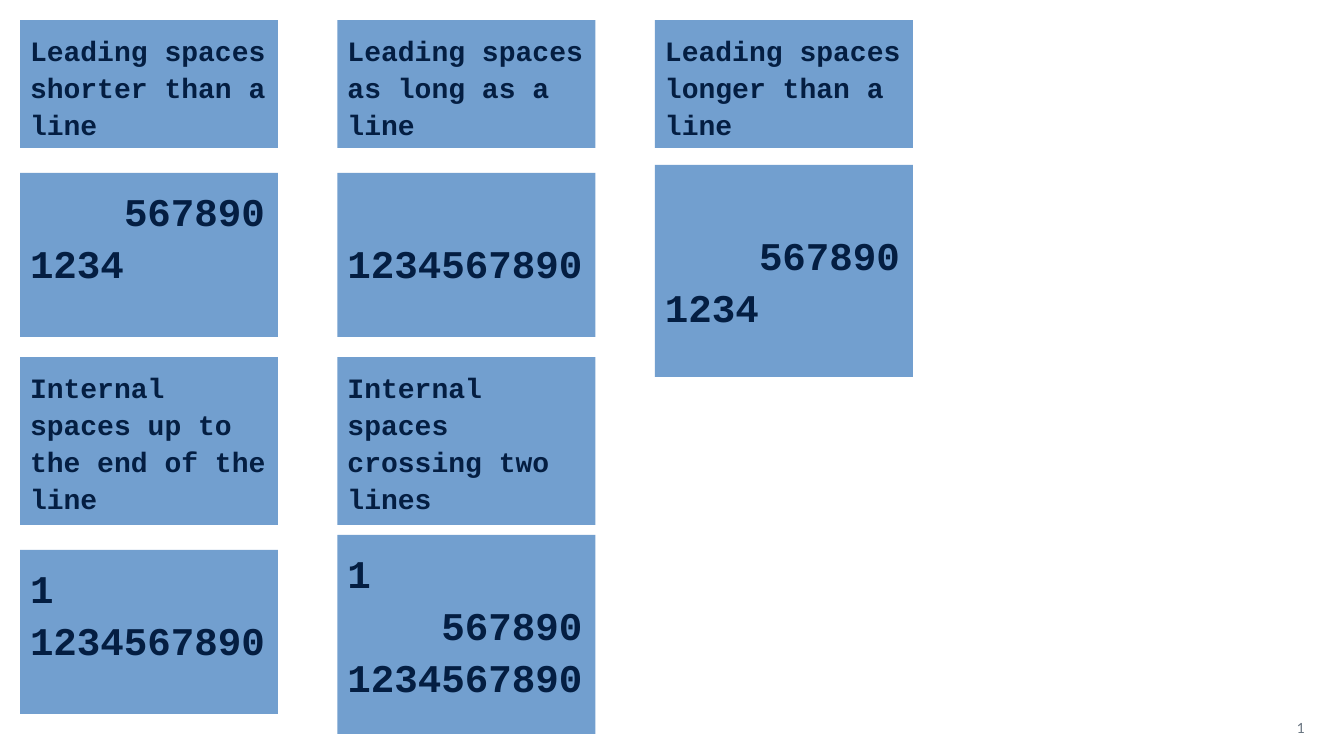
from pptx import Presentation
from pptx.dml.color import RGBColor
from pptx.enum.shapes import MSO_SHAPE
from pptx.enum.text import MSO_ANCHOR, MSO_AUTO_SIZE, PP_ALIGN
from pptx.util import Pt

COLOURS = {"panel": "729FCF", "ink": "041E42", "number": "67737F"}
INSET = 10
PANEL_WIDTH = 258
COLUMN_STEP = 317.5
SAMPLE_LINE = 52
FOUR_CHARACTERS = 94

CAPTION = {"size": Pt(20), "name": "Courier New", "bold": True}
SAMPLE = {"size": Pt(28), "name": "Courier New", "bold": True}
NUMBER = {"size": Pt(10), "name": "Lato", "bold": False}

CASES = [
    {"column": 0, "caption": "Leading spaces shorter than a line",
     "caption_span": (20, 128), "sample_span": (173, 164),
     "lines": [("567890", True), ("1234", False)], "skipped": 0},
    {"column": 1, "caption": "Leading spaces as long as a line",
     "caption_span": (20, 128), "sample_span": (173, 164),
     "lines": [("1234567890", False)], "skipped": 1},
    {"column": 2, "caption": "Leading spaces longer than a line",
     "caption_span": (20, 128), "sample_span": (165, 212),
     "lines": [("567890", True), ("1234", False)], "skipped": 1},
    {"column": 0, "caption": "Internal spaces up to the end of the line",
     "caption_span": (357, 168), "sample_span": (550, 164),
     "lines": [("1", False), ("1234567890", False)], "skipped": 0},
    {"column": 1, "caption": "Internal spaces crossing two lines",
     "caption_span": (357, 168), "sample_span": (535, 199),
     "lines": [("1", False), ("567890", True), ("1234567890", False)],
     "skipped": 0},
]


def px(length):
    """Turn pixels into EMU."""
    return round(length * 914400 / 100.8)


def set_all(target, values):
    """Set every attribute in a dict of format values."""
    for name, value in values.items():
        setattr(target, name, value)


def write(shape, lines, font, colour, frame_format, paragraph_format):
    """Write (text, indented) lines into a shape, one paragraph each."""
    frame = shape.text_frame
    set_all(frame, {"word_wrap": True, "auto_size": MSO_AUTO_SIZE.NONE,
                    **frame_format})
    for position, (text, indented) in enumerate(lines):
        paragraph = frame.add_paragraph() if position else frame.paragraphs[0]
        set_all(paragraph, paragraph_format)
        if indented:
            paragraph._p.get_or_add_pPr().set("indent", str(px(FOUR_CHARACTERS)))
        run = paragraph.add_run()
        run.text = text
        set_all(run.font, font)
        run.font.color.rgb = RGBColor.from_string(COLOURS[colour])


def draw_panel(slide, box, lines, font, skipped=0, title=None):
    """Draw a filled panel, skipping whole lines above its text."""
    left, top, width, height = map(px, box)
    if title is None:
        panel = slide.shapes.add_shape(MSO_SHAPE.RECTANGLE, left, top, width, height)
        panel.shadow.inherit = False
    else:
        panel = title
        set_all(panel, {"left": left, "top": top, "width": width, "height": height})
    panel.fill.solid()
    panel.fill.fore_color.rgb = RGBColor.from_string(COLOURS["panel"])
    panel.line.fill.background()
    margins = {"margin_left": px(INSET), "margin_right": px(INSET),
               "margin_top": px(INSET + skipped * SAMPLE_LINE),
               "margin_bottom": px(INSET), "vertical_anchor": MSO_ANCHOR.TOP}
    write(panel, lines, font, "ink", margins,
          {"alignment": PP_ALIGN.LEFT, "line_spacing": 1.1})


def draw_case(slide, left, case, title=None):
    """Draw a caption and the sample below it in one column."""
    caption_top, caption_height = case["caption_span"]
    sample_top, sample_height = case["sample_span"]
    draw_panel(slide, (left, caption_top, PANEL_WIDTH, caption_height),
               [(case["caption"], False)], CAPTION, title=title)
    draw_panel(slide, (left, sample_top, PANEL_WIDTH, sample_height),
               case["lines"], SAMPLE, case["skipped"])


def draw_slide_number(slide, box):
    """Draw the slide number at the bottom right of its box."""
    number = slide.shapes.add_textbox(*map(px, box))
    write(number, [("1", False)], NUMBER, "number",
          {"vertical_anchor": MSO_ANCHOR.BOTTOM}, {"alignment": PP_ALIGN.RIGHT})


def main():
    """Build and save the slide."""
    presentation = Presentation()
    set_all(presentation, {"slide_width": px(1344), "slide_height": px(756)})
    slide = presentation.slides.add_slide(presentation.slide_layouts[5])
    draw_slide_number(slide, (1013, 701, 302, 40))
    for position, case in enumerate(CASES):
        title = None if position else slide.shapes.title
        draw_case(slide, 20 + case["column"] * COLUMN_STEP, case, title)
    presentation.save("out.pptx")


if __name__ == "__main__":
    main()
